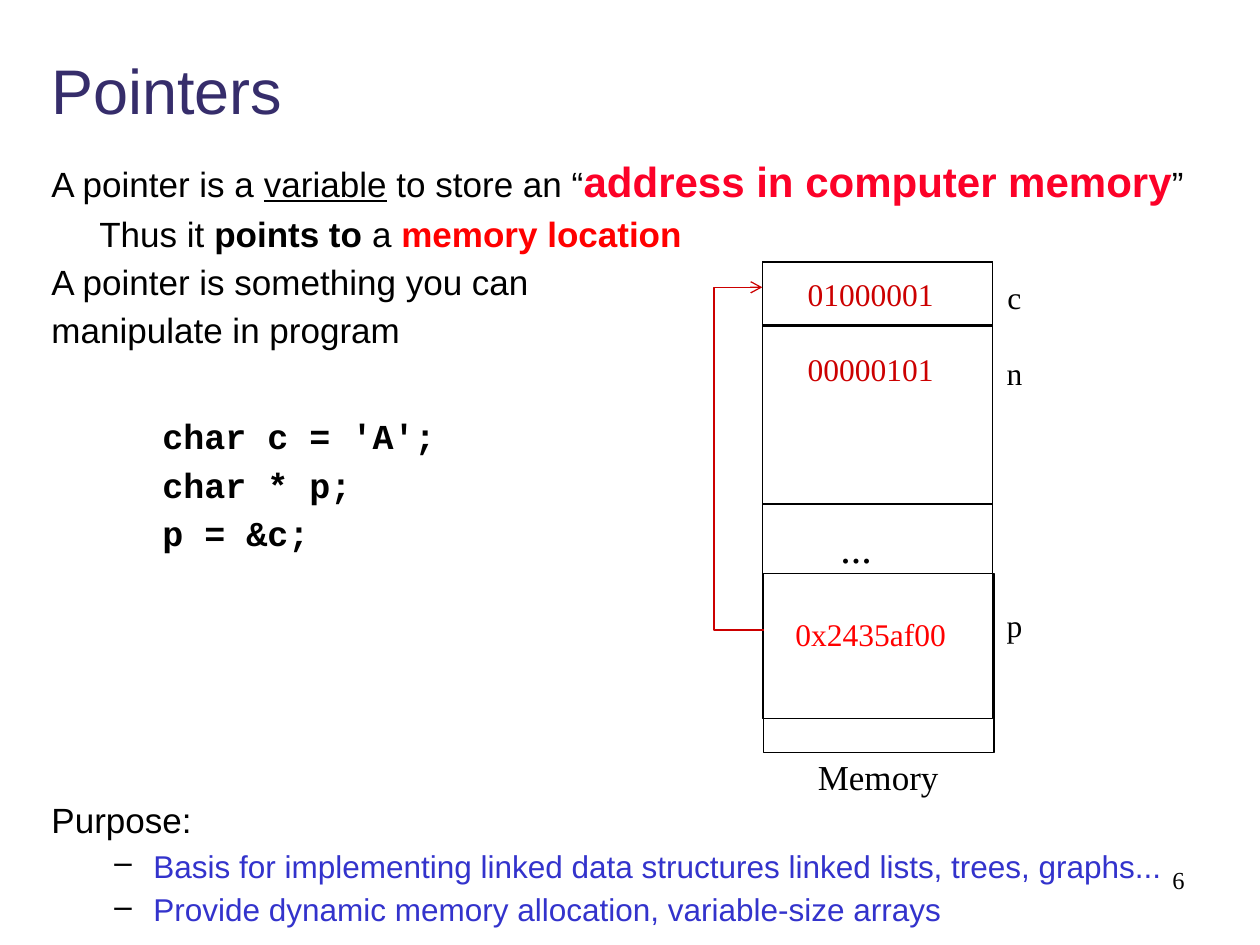
"""Build a slide that explains pointers with a memory diagram."""
from dataclasses import dataclass

from lxml.etree import SubElement
from pptx import Presentation
from pptx.dml.color import RGBColor
from pptx.enum.shapes import MSO_CONNECTOR as Connector, MSO_SHAPE as Shape
from pptx.enum.text import MSO_ANCHOR as Anchor, PP_ALIGN as Align
from pptx.oxml.ns import qn
from pptx.util import Inches, Pt


@dataclass(frozen=True)
class Theme:
    sans: str = "Arial"
    serif: str = "Times New Roman"
    mono: str = "Courier New"
    ink: str = "000000"
    title: str = "362D6B"
    accent: str = "FC0128"
    red: str = "FF0000"
    cell: str = "CC0000"
    detail: str = "3333CC"
    title_size: int = 36
    large: int = 24
    body: int = 20
    small: int = 18
    page: int = 14
    line: float = 0.74


class SlideBuilder:
    def __init__(self, slide, theme):
        self.slide = slide
        self.theme = theme

    def run(self, paragraph, text, size, color, font, bold=False, underline=False):
        run = paragraph.add_run()
        run.text = text
        run.font.size = Pt(size)
        run.font.name = font
        run.font.bold = bold
        run.font.underline = underline
        run.font.color.rgb = RGBColor.from_string(color)

    def frame(self, left, top, width, height, wrap=True, anchor=Anchor.TOP):
        box = self.slide.shapes.add_textbox(
            Inches(left), Inches(top), Inches(width), Inches(height))
        frame = box.text_frame
        frame.word_wrap = wrap
        frame.vertical_anchor = anchor
        return frame

    def label(self, text, left, top, width, height, size, color=None,
              font=None, align=Align.CENTER, wrap=True, anchor=Anchor.TOP):
        paragraph = self.frame(left, top, width, height, wrap, anchor).paragraphs[0]
        paragraph.alignment = align
        self.run(paragraph, text, size, color or self.theme.ink,
                 font or self.theme.serif)

    def paragraph(self, frame, runs, before=6, margin=0, bullet=None):
        first = frame.paragraphs[0]
        paragraph = frame.add_paragraph() if first.runs else first
        paragraph.line_spacing = 0.9
        paragraph.space_before = Pt(before)
        props = paragraph._p.get_or_add_pPr()
        props.set("marL", str(Inches(margin)))
        props.set("indent", str(Inches(-0.31 if bullet else 0)))
        if bullet:
            color = SubElement(props, qn("a:buClr"))
            SubElement(color, qn("a:srgbClr"), val=self.theme.ink)
            SubElement(props, qn("a:buChar"), char=bullet)
        for text, style in runs:
            self.run(paragraph, text, **{
                "size": self.theme.body, "color": self.theme.ink,
                "font": self.theme.sans, **style})

    def block(self, left, top, width, height):
        block = self.slide.shapes.add_shape(
            Shape.RECTANGLE, Inches(left), Inches(top), Inches(width), Inches(height))
        block.shadow.inherit = False
        block.fill.background()
        block.line.color.rgb = RGBColor.from_string(self.theme.ink)
        block.line.width = Pt(self.theme.line)

    def loop_arrow(self, x, top, bottom, reach):
        thin = 0.01
        arrow = self.slide.shapes.add_connector(
            Connector.ELBOW, Inches(x), Inches(top), Inches(x + thin), Inches(bottom))
        arrow.line.color.rgb = RGBColor.from_string(self.theme.cell)
        arrow.line.width = Pt(self.theme.line)
        props = arrow._element.spPr
        props.find(qn("a:xfrm")).set("rot", "10800000")
        guides = props.find(qn("a:prstGeom")).get_or_add_avLst()
        SubElement(guides, qn("a:gd"), name="adj1",
                   fmla=f"val {round(reach / thin * 100000)}")
        SubElement(arrow.line._get_or_add_ln(), qn("a:tailEnd"), type="arrow")
        SubElement(props, qn("a:effectLst"))


deck = Presentation()
deck.slide_width, deck.slide_height = Inches(10), Inches(7.5)
theme = Theme()
page = SlideBuilder(deck.slides.add_slide(deck.slide_layouts[6]), theme)

page.label("Pointers", 0.31, 0.17, 9.22, 1.08, theme.title_size, theme.title,
           theme.sans, Align.LEFT, anchor=Anchor.MIDDLE)

explanation = page.frame(0.31, 1.23, 9.28, 6.14)
page.paragraph(explanation, [
    ("A pointer is a ", {}),
    ("variable", {"underline": True}),
    (" to store an “", {}),
    ("address in computer memory",
     {"size": theme.large, "color": theme.accent, "bold": True}),
    ("”", {}),
], before=0)
page.paragraph(explanation, [
    ("Thus it ", {}),
    ("points to", {"bold": True}),
    (" a ", {}),
    ("memory location", {"color": theme.red, "bold": True}),
], margin=0.38)
for sentence in ("A pointer is something you can", "manipulate in program"):
    page.paragraph(explanation, [(sentence, {})])
for code, gap in (("char c = 'A';", 39), ("char * p;", 6), ("p = &c;", 6)):
    page.paragraph(explanation, [(code, {"font": theme.mono, "bold": True})],
                   before=gap, margin=0.88)
page.paragraph(explanation, [("Purpose:", {})], before=142.5)
for purpose in (
        "Basis for implementing linked data structures linked lists, trees, graphs...",
        "Provide dynamic memory allocation, variable-size arrays"):
    page.paragraph(explanation,
                   [(purpose, {"size": theme.small, "color": theme.detail})],
                   before=5.5, margin=0.81, bullet="–")

MEMORY_LEFT, MEMORY_WIDTH = 6.05, 1.83
for left, top, height in ((MEMORY_LEFT, 2.08, 3.62), (MEMORY_LEFT, 2.08, 0.51),
                          (MEMORY_LEFT, 2.58, 1.42), (MEMORY_LEFT + 0.01, 4.55, 1.42)):
    page.block(left, top, MEMORY_WIDTH, height)

for variable, name_top, value, value_top, color in (
        ("c", 2.16, "01000001", 2.13, theme.cell),
        ("n", 2.76, "00000101", 2.73, theme.cell),
        ("p", 4.76, "0x2435af00", 4.83, theme.red)):
    page.label(value, 6.17, value_top, 1.48, 0.4, theme.small, color)
    page.label(variable, 7.89, name_top, 0.32, 0.4, theme.small, wrap=False)

page.label("...", 6.37, 4.09, 0.85, 0.5, theme.large)
page.label("Memory", 6.39, 5.95, 1.16, 0.44, theme.body, wrap=False)
page.loop_arrow(MEMORY_LEFT, 2.28, 5, 0.4)
page.label("6", 7.42, 6.82, 2.08, 0.5, theme.page, align=Align.RIGHT)

deck.save("out.pptx")
